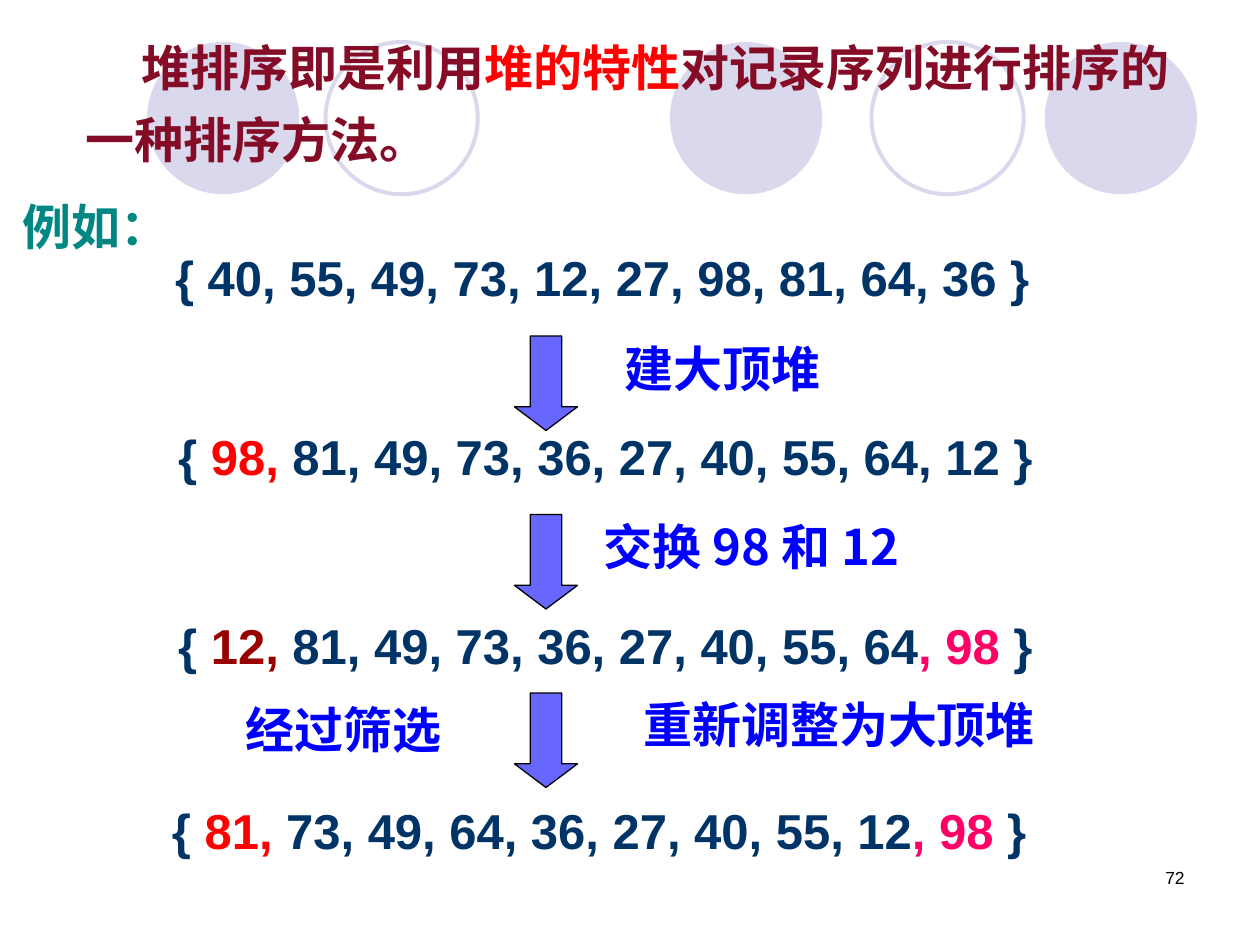
from dataclasses import dataclass

from lxml.etree import SubElement
from pptx import Presentation
from pptx.dml.color import RGBColor
from pptx.enum.shapes import MSO_SHAPE as Preset
from pptx.enum.text import MSO_ANCHOR as Anchor, PP_ALIGN as Align
from pptx.oxml.ns import qn
from pptx.util import Inches, Pt


@dataclass(frozen=True)
class Theme:
    latin: str = "Arial"
    asian: str = "Noto Sans CJK SC"
    body: int = 28
    indent: int = 32
    small: int = 10
    circle: str = "D9D8EC"
    arrow: str = "6767FF"
    black: str = "000000"
    maroon: str = "840C26"
    teal: str = "008784"
    navy: str = "003366"
    blue: str = "0000FF"
    red: str = "FF0000"
    dark_red: str = "990000"
    pink: str = "FF0066"


THEME = Theme()
COLUMNS, ROWS = 120, 90
SLIDE_WIDTH, SLIDE_HEIGHT = Inches(10), Inches(7.5)


def place(left, top, width, height):
    """Turn grid columns and rows into slide lengths."""
    column, row = SLIDE_WIDTH / COLUMNS, SLIDE_HEIGHT / ROWS
    return (round(left * column), round(top * row),
            round(width * column), round(height * row))


def add_run(paragraph, text, color, size=THEME.body, bold=True, latin=THEME.latin):
    run = paragraph.add_run()
    run.text = text
    font = run.font
    font.size, font.bold, font.name = Pt(size), bold, latin
    font.color.rgb = RGBColor.from_string(color)
    SubElement(font._element, qn("a:ea")).set("typeface", THEME.asian)


def add_paragraph_box(slide, box, line_spacing=None, align=Align.LEFT):
    frame = slide.shapes.add_textbox(*place(*box)).text_frame
    frame.word_wrap = True
    frame.vertical_anchor = Anchor.TOP
    paragraph = frame.paragraphs[0]
    paragraph.alignment = align
    if line_spacing:
        paragraph.line_spacing = line_spacing
    return paragraph


def add_preset(slide, preset, box, fill=None, line=None, line_width=0):
    shape = slide.shapes.add_shape(preset, *place(*box))
    shape.shadow.inherit = False
    if fill:
        shape.fill.solid()
        shape.fill.fore_color.rgb = RGBColor.from_string(fill)
    else:
        shape.fill.background()
    if line:
        shape.line.color.rgb = RGBColor.from_string(line)
        shape.line.width = Pt(line_width)
    else:
        shape.line.fill.background()
    return shape


def add_circle_band(slide, left, top, diameter):
    for offset, filled in ((49.8, True), (85.5, True), (0, True), (69, False), (17, False)):
        box = (left + offset, top, diameter, diameter)
        if filled:
            add_preset(slide, Preset.OVAL, box, fill=THEME.circle)
        else:
            add_preset(slide, Preset.OVAL, box, line=THEME.circle, line_width=2.25)


def add_introduction(slide, left, top, width, height):
    definition = add_paragraph_box(slide, (left + 6, top, width - 6, height), 1.2)
    add_run(definition, "\u3000".replace("\u3000", "　"), THEME.maroon, THEME.indent, bold=False)
    add_run(definition, "堆排序即是利用", THEME.maroon)
    add_run(definition, "堆的特性", THEME.red)
    add_run(definition, "对记录序列进行排序的一种排序方法。", THEME.maroon)
    example = add_paragraph_box(slide, (left, top + 16, 20, 8), 1.2)
    add_run(example, "例如：", THEME.teal)


def add_sequence(slide, left, top, pieces):
    paragraph = add_paragraph_box(slide, (left, top, 90, 6.8))
    for text, color in pieces:
        add_run(paragraph, text, color)


def add_step(slide, left, top, labels):
    """Place a down arrow, with labels offset from its top left corner."""
    arrow = add_preset(slide, Preset.DOWN_ARROW, (left, top, 6, 9),
                       THEME.arrow, THEME.black, 0.75)
    arrow.adjustments[0], arrow.adjustments[1] = 0.5, 0.375
    for right, down, width, text, latin in labels:
        paragraph = add_paragraph_box(slide, (left + right, top + down, width, 6.8))
        add_run(paragraph, text, THEME.blue, latin=latin)


def add_page_number(slide, left, top, width, height):
    paragraph = add_paragraph_box(slide, (left, top, width, height), align=Align.RIGHT)
    add_run(paragraph, "72", THEME.black, THEME.small, bold=False)


def add_heap_sort(slide, left, top):
    navy, red, pink = THEME.navy, THEME.red, THEME.pink
    sequences = (
        (0.3, 0, (("{ 40, 55, 49, 73, 12, 27, 98, 81, 64, 36 }", navy),)),
        (0.6, 17, (("{ ", navy), ("98,", red),
                   (" 81, 49, 73, 36, 27, 40, 55, 64, 12 }", navy))),
        (0.6, 35, (("{ ", navy), ("12,", THEME.dark_red),
                   (" 81, 49, 73, 36, 27, 40, 55, 64", navy), (", 98", pink), (" }", navy))),
        (0, 52.6, (("{ ", navy), ("81,", red),
                   (" 73, 49, 64, 36, 27, 40, 55, 12", navy), (", 98", pink), (" }", navy))),
    )
    for right, down, pieces in sequences:
        add_sequence(slide, left + right, top + down, pieces)
    steps = (
        ((9.3, -0.4, 27.7, "建大顶堆", THEME.latin),),
        ((7.3, -0.4, 38.4, "交换 98 和 12", THEME.asian),),
        ((11.1, -0.4, 42, "重新调整为大顶堆", THEME.latin),
         (-26.8, 0, 23, "经过筛选", THEME.latin)),
    )
    for index, labels in enumerate(steps):
        add_step(slide, left + 33.8, top + 9 + 17 * index, labels)


def main():
    presentation = Presentation()
    presentation.slide_width, presentation.slide_height = SLIDE_WIDTH, SLIDE_HEIGHT
    slide = presentation.slides.add_slide(presentation.slide_layouts[6])
    add_circle_band(slide, 14, 4, 14.5)
    add_introduction(slide, 1, 1, 115, 15.6)
    add_heap_sort(slide, 15.2, 23)
    add_page_number(slide, 86, 82, 28, 6)
    presentation.save("out.pptx")


if __name__ == "__main__":
    main()
